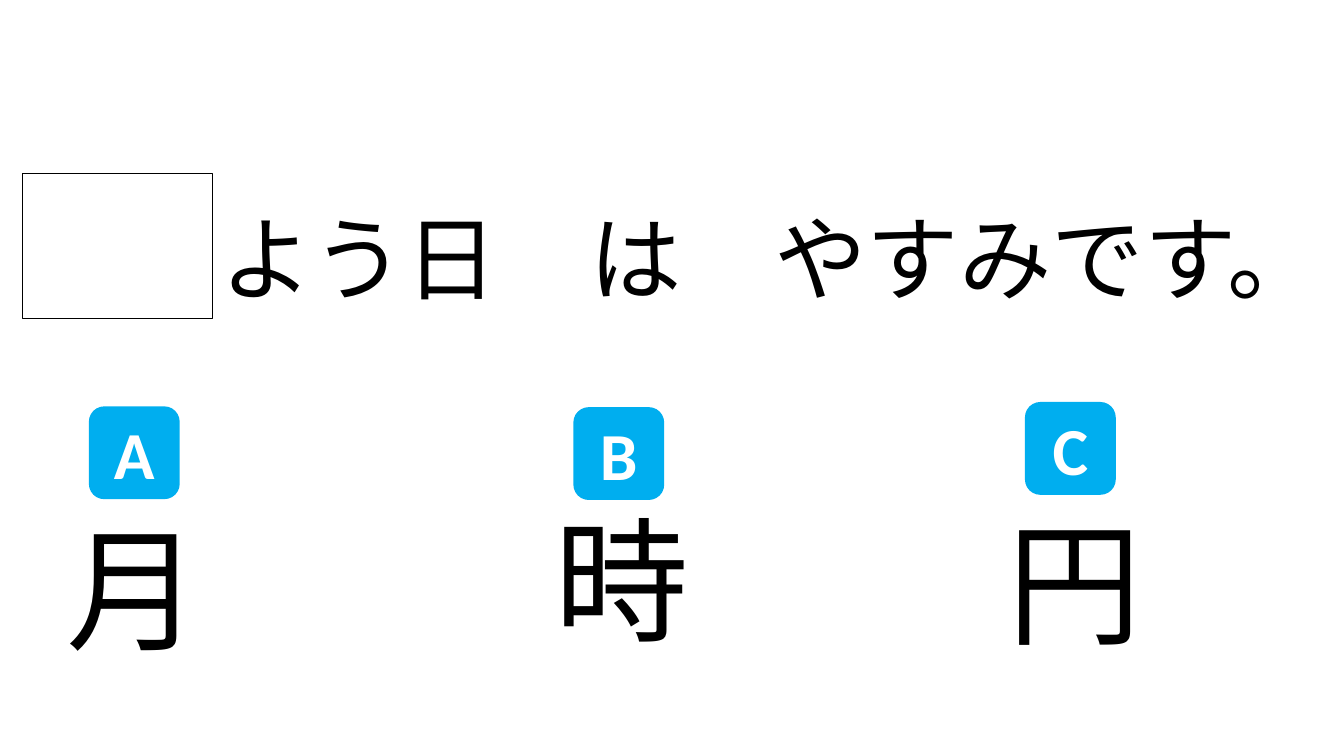
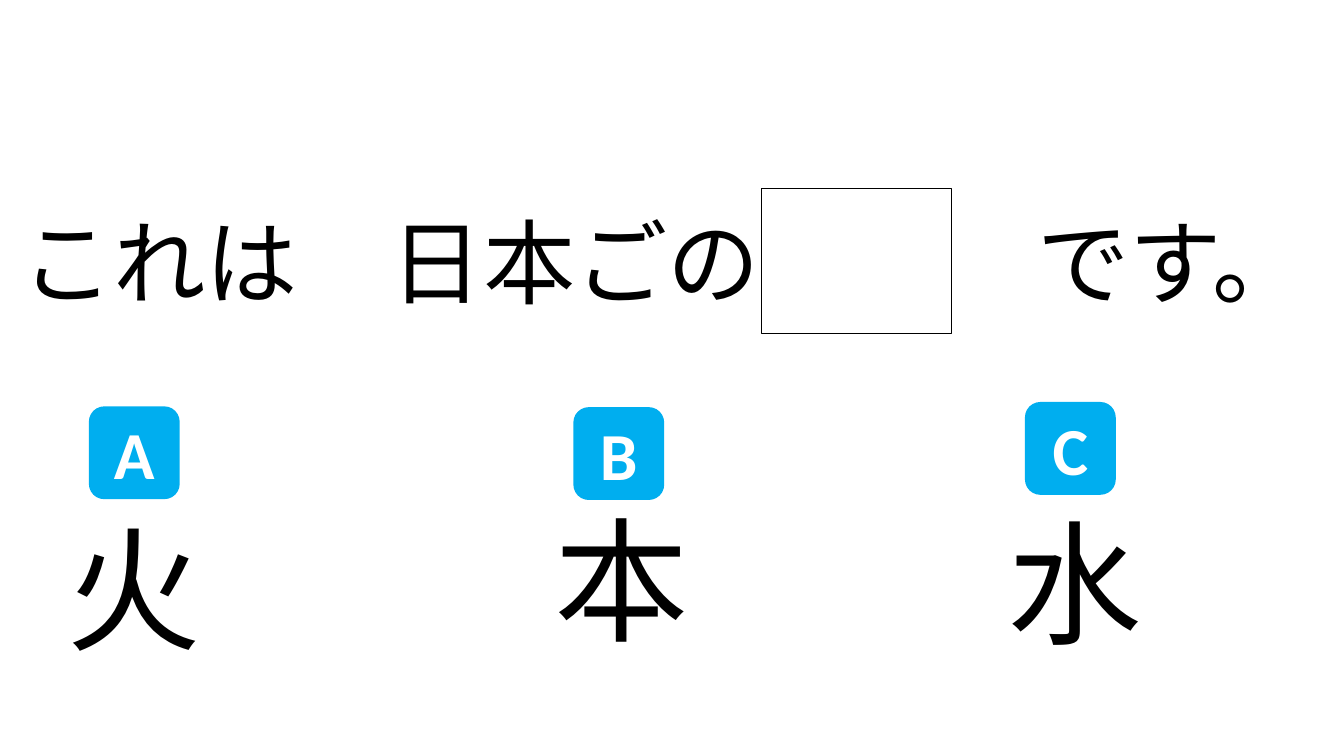
from pptx import Presentation
from pptx.dml.color import RGBColor
from pptx.enum.shapes import MSO_SHAPE as Shape
from pptx.enum.text import MSO_ANCHOR as Anchor, MSO_AUTO_SIZE as AutoSize, PP_ALIGN as Align
from pptx.util import Cm, Pt

# Shared style
BLACK = RGBColor(0, 0, 0)
WHITE = RGBColor(0xFF, 0xFF, 0xFF)
BLUE = RGBColor(0x00, 0xAE, 0xEF)
TEXT_FONT = "Arial"
BADGE_FONT = "Calibri"
TITLE_ONLY = 5

# Letter, badge left and top, answer left and top (cm)
CHOICES = [
    ("A", (2.24, 10.24), (1.42, 12.62)),
    ("B", (14.45, 10.26), (13.72, 12.4)),
    ("C", (25.83, 10.13), (25.15, 12.47)),
]

# Sentence, its box, corner of the blank, answers
QUESTIONS = [
    ("\u3000よう日\u3000は\u3000やすみです。",
     (2.97, 4.93, 30.89, 3.07), (0.58, 4.37), "月時円"),
    ("これは\u3000日本ごの\u3000\u3000\u3000です。",
     (0.28, 5.05, 33.58, 3.07), (19.2, 4.75), "火本水"),
]


class Quiz:
    def __init__(self):
        self.deck = Presentation()
        self.deck.slide_width = Cm(33.87)
        self.deck.slide_height = Cm(19.05)
        self.page = None

    def add_page(self):
        layout = self.deck.slide_layouts[TITLE_ONLY]
        self.page = self.deck.slides.add_slide(layout)

    def set_text(self, box, text, size, font=TEXT_FONT, color=BLACK,
                 bold=False, align=Align.LEFT, anchor=Anchor.TOP):
        frame = box.text_frame
        frame.text = text
        frame.word_wrap = True
        frame.vertical_anchor = anchor
        para = frame.paragraphs[0]
        para.alignment = align
        for span in para.runs:
            span.font.name = font
            span.font.size = Pt(size)
            span.font.bold = bold
            span.font.color.rgb = color

    def sentence(self, text, area):
        title = self.page.shapes.title
        title.left, title.top, title.width, title.height = map(Cm, area)
        self.set_text(title, text, 66)
        title.text_frame.auto_size = AutoSize.SHAPE_TO_FIT_TEXT

    def answer(self, text, left, top):
        box = self.page.shapes.add_textbox(Cm(left), Cm(top), Cm(5.28), Cm(4.37))
        self.set_text(box, text, 96)
        box.text_frame.auto_size = AutoSize.SHAPE_TO_FIT_TEXT

    def shape(self, kind, left, top, width, height, fill):
        shape = self.page.shapes.add_shape(
            kind, Cm(left), Cm(top), Cm(width), Cm(height))
        shape.shadow.inherit = False
        shape.fill.solid()
        shape.fill.fore_color.rgb = fill
        return shape

    def badge(self, letter, left, top):
        badge = self.shape(Shape.ROUNDED_RECTANGLE, left, top, 2.29, 2.34, BLUE)
        badge.adjustments[0] = 0.17
        badge.line.fill.background()
        self.set_text(badge, letter, 48, BADGE_FONT, WHITE, True,
                      Align.CENTER, Anchor.MIDDLE)

    def blank(self, left, top):
        blank = self.shape(Shape.RECTANGLE, left, top, 4.78, 3.66, WHITE)
        blank.line.color.rgb = BLACK
        blank.line.width = Pt(0.75)


# Build the question pages
quiz = Quiz()
for sentence, area, blank_corner, answers in QUESTIONS:
    quiz.add_page()
    quiz.sentence(sentence, area)
    for (letter, badge_corner, answer_corner), answer in zip(CHOICES, answers):
        quiz.answer(answer, *answer_corner)
        quiz.badge(letter, *badge_corner)
    quiz.blank(*blank_corner)

quiz.deck.save("out.pptx")
